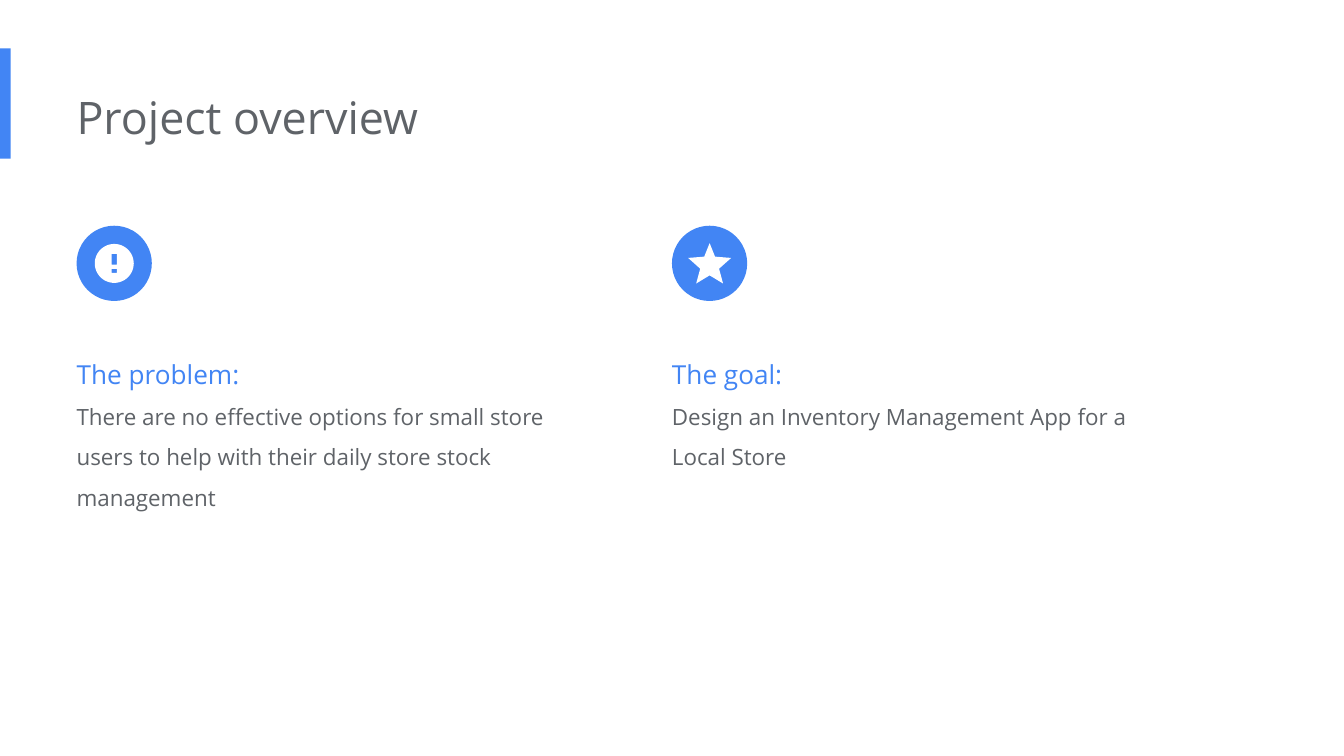
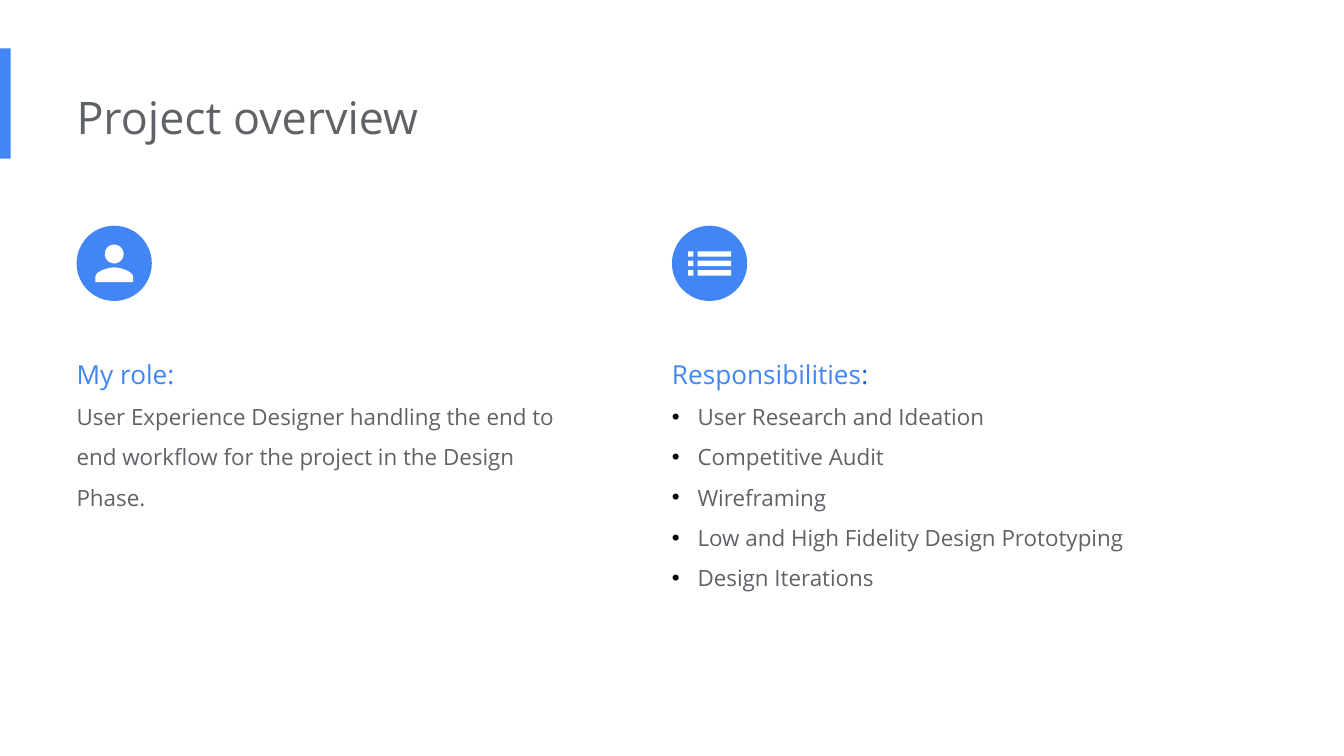
from math import cos, pi, sin

from lxml import etree
from pptx import Presentation
from pptx.dml.color import RGBColor
from pptx.enum.shapes import MSO_SHAPE
from pptx.enum.text import MSO_AUTO_SIZE
from pptx.oxml.ns import qn
from pptx.util import Inches, Pt

RECTANGLE, OVAL = MSO_SHAPE.RECTANGLE, MSO_SHAPE.OVAL
GROW = MSO_AUTO_SIZE.SHAPE_TO_FIT_TEXT

FONT, BULLET_FONT = "Open Sans", "Arial"
BLUE, DARK_BLUE, GREY = "4285F4", "1967D2", "5F6368"
WHITE, BLACK = "FFFFFF", "000000"
LEFT_COLUMN, RIGHT_COLUMN = 0.57, 5
COLUMN_WIDTH = 3.77
DISC_TOP, DISC_SIZE = 1.68, 0.56


def color(value):
    return RGBColor.from_string(value)


def block(left, top, right, bottom):
    return [(left, top), (right, top), (right, bottom), (left, bottom)]


def ring(center_y, radius, steps=48):
    angles = [2 * pi * step / steps for step in range(steps)]
    return [(radius * cos(a), center_y + radius * sin(a)) for a in angles]


def curve(start, first, second, end, steps=12):
    points = []
    for step in range(steps + 1):
        t = step / steps
        weights = ((1 - t) ** 3, 3 * t * (1 - t) ** 2, 3 * t * t * (1 - t), t ** 3)
        points.append(tuple(
            sum(w * value for w, value in zip(weights, axis))
            for axis in zip(start, first, second, end)))
    return points


def mirrored(half):
    return half + [(-x, y) for x, y in reversed(half)]


ALERT = [ring(0, 0.29 / 2), block(-0.02, -0.07, 0.02, 0.01), block(-0.02, 0.04, 0.02, 0.07)]
STAR = [mirrored([(0, -0.15), (0.04, -0.05), (0.16, -0.04), (0.07, 0.04), (0.1, 0.15), (0, 0.09)])]
SHOULDERS = curve((0, 0.03), (0.05, 0.03), (0.14, 0.06), (0.14, 0.1))
PERSON = [ring(-0.07, 0.07), mirrored(SHOULDERS + [(0.14, 0.14)])]
LIST = [block(left, top, right, top + 0.04)
        for top in (-0.09, -0.02, 0.05)
        for left, right in ((-0.16, -0.12), (-0.09, 0.16))]


class Deck:
    """Holds the style and the current slide, and draws each kind of element."""

    def __init__(self):
        self.deck = Presentation()
        self.deck.slide_width = Inches(10)
        self.deck.slide_height = Inches(10 * 9 / 16)

    def add_page(self, title):
        self.page = self.deck.slides.add_slide(self.deck.slide_layouts[6])
        self.shape(RECTANGLE, 0, 0.36, 0.08, 0.82, BLUE)
        frame = self.text_box(LEFT_COLUMN, 0.57, 6.73, 0.61)
        self.paragraph(frame, [(title, GREY)], 24)

    def paint(self, shape, fill):
        shape.shadow.inherit = False
        shape.fill.solid()
        shape.fill.fore_color.rgb = color(fill)
        shape.line.fill.background()

    def shape(self, kind, left, top, width, height, fill):
        shape = self.page.shapes.add_shape(
            kind, Inches(left), Inches(top), Inches(width), Inches(height))
        self.paint(shape, fill)

    def icon(self, left, contours):
        self.shape(OVAL, left, DISC_TOP, DISC_SIZE, DISC_SIZE, BLUE)
        center_x, center_y = left + DISC_SIZE / 2, DISC_TOP + DISC_SIZE / 2
        outlines = [[(Inches(center_x + x), Inches(center_y + y)) for x, y in contour]
                    for contour in contours]
        builder = self.page.shapes.build_freeform(*outlines[0][0])
        for index, outline in enumerate(outlines):
            if index:
                builder.move_to(*outline[0])
            builder.add_line_segments(outline[1:], close=True)
        self.paint(builder.convert_to_shape(), WHITE)

    def text_box(self, left, top, width, height):
        box = self.page.shapes.add_textbox(
            Inches(left), Inches(top), Inches(width), Inches(height))
        frame = box.text_frame
        frame.word_wrap = True
        frame.auto_size = GROW
        frame.margin_left = 0
        frame.margin_top = frame.margin_right = frame.margin_bottom = Inches(0.1)
        return frame

    def paragraph(self, frame, spans, size, spacing=None, bullet=False):
        first = frame.paragraphs[0]
        para = frame.add_paragraph() if first.runs else first
        para.line_spacing = spacing
        if bullet:
            self.bullet(para)
        para.font.name = FONT
        para.font.size = Pt(size)
        if len(spans) == 1:
            para.font.color.rgb = color(spans[0][1])
        for text, tint in spans:
            span = para.add_run()
            span.text = text
            if len(spans) > 1:
                span.font.color.rgb = color(tint)

    def bullet(self, para):
        properties = para._p.get_or_add_pPr()
        properties.set("marL", str(Inches(0.19)))
        properties.set("indent", str(-Inches(0.19)))
        tint = etree.SubElement(properties, qn("a:buClr"))
        etree.SubElement(tint, qn("a:srgbClr"), val=BLACK)
        etree.SubElement(properties, qn("a:buFont"), typeface=BULLET_FONT)
        etree.SubElement(properties, qn("a:buChar"), char="•")

    def column(self, left, contours, heading, lines, height, bullets=False):
        frame = self.text_box(left, 2.45, COLUMN_WIDTH, height)
        self.paragraph(frame, heading, 14, 1.5)
        for line in lines:
            self.paragraph(frame, [(line, GREY)], 12, 1.5, bullets)
        self.icon(left, contours)


def main():
    deck = Deck()

    deck.add_page("Project overview")
    deck.column(LEFT_COLUMN, ALERT, [("The problem:", BLUE)], [
        "There are no effective options for small store users to help with "
        "their daily store stock management"], 1.46)
    deck.column(RIGHT_COLUMN, STAR, [("The goal:", BLUE)], [
        "Design an Inventory Management App for a Local Store"], 1.16)

    deck.add_page("Project overview")
    deck.column(LEFT_COLUMN, PERSON, [("My role:", BLUE)], [
        "User Experience Designer handling the end to end workflow for the "
        "project in the Design Phase."], 1.46)
    deck.column(RIGHT_COLUMN, LIST, [("Responsibilities", BLUE), (":", DARK_BLUE)], [
        "User Research and Ideation",
        "Competitive Audit",
        "Wireframing",
        "Low and High Fidelity Design Prototyping",
        "Design Iterations"], 2.07, bullets=True)

    deck.deck.save("out.pptx")


if __name__ == "__main__":
    main()
